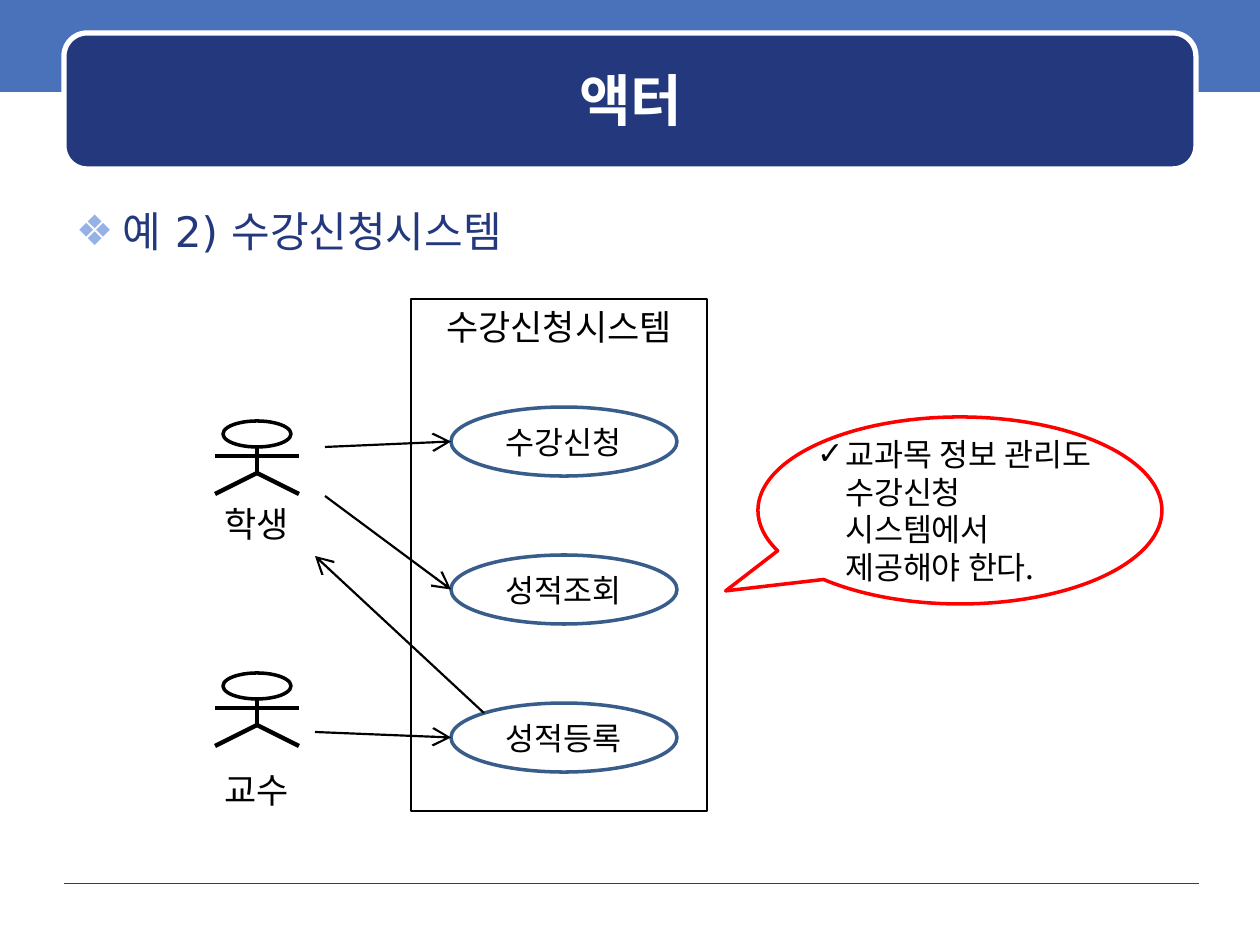
from lxml import etree
from pptx import Presentation
from pptx import util as u
from pptx.dml.color import RGBColor
from pptx.enum import shapes, text
from pptx.oxml import ns

# Content: lengths in px, 126 to the inch
TITLE = "액터"
TOPIC = "예 2) 수강신청시스템"
SYSTEM = "수강신청시스템"
CASES = ["수강신청", "성적조회", "성적등록"]
ACTORS = [("학생", 421, 496), ("교수", 673, 762)]  # name, head top, label top
NOTE = "교과목 정보 관리도 수강신청 시스템에서 제공해야 한다."
INTO = [(325, 447, 0), (325, 496, 1), (315, 732, 2)]  # start, use case
BACK = (484, 713, 315, 556)  # from the last use case to the student
OVAL = (451, 407, 226, 69)  # first use case
STEP = 148  # from one use case to the next


class Theme:
    band, panel, rule = "4972BB", "23387D", "1A3D97"
    bullet, oval, alert = "96B1E6", "385D8A", "FF0000"
    ink, paper = "000000", "FFFFFF"
    head, topic, label, case = 32, 24, 20, 18
    sans, hangul = "DejaVu Sans", "Noto Sans CJK KR"


SHAPE = shapes.MSO_SHAPE
MID, TOP = text.MSO_ANCHOR.MIDDLE, text.MSO_ANCHOR.TOP
CENTER, START = text.PP_ALIGN.CENTER, text.PP_ALIGN.LEFT


def px(n):
    return u.Emu(round(n * 914400 / 126))


def rgb(code):
    return RGBColor.from_string(code)


def sub(parent, tag, **attrs):
    return etree.SubElement(parent, ns.qn(tag), **attrs)


def place(shape, *box):
    shape.left, shape.top, shape.width, shape.height = map(px, box)


def write(shape, words, size, color=Theme.ink, font=Theme.hangul, align=CENTER,
          anchor=MID, side=0, bold=False, bullet=None):
    frame = shape.text_frame
    frame.word_wrap, frame.vertical_anchor = True, anchor
    frame.auto_size = text.MSO_AUTO_SIZE.NONE
    frame.margin_left = frame.margin_right = px(side)
    frame.margin_top = frame.margin_bottom = u.Inches(0.05)
    para = frame.paragraphs[0]
    para.text, para.alignment = words, align
    para.space_before = u.Pt(0)
    props = para._p.get_or_add_pPr()
    if bullet:
        mark, tint, indent = bullet
        props.set("marL", str(px(indent)))
        props.set("indent", str(-px(indent)))
        sub(sub(props, "a:buClr"), "a:srgbClr", val=tint)
        sub(props, "a:buFont", typeface=Theme.sans)
        sub(props, "a:buChar", char=mark)
    para.font.size, para.font.bold = u.Pt(size), bold
    para.font.name, para.font.color.rgb = font, rgb(color)
    sub(props.find(ns.qn("a:defRPr")), "a:ea", typeface=font)


def draw(parent, kind, box, fill=None, line=None, width=2):
    shape = parent.add_shape(kind, *map(px, box))
    shape.shadow.inherit = False
    if fill:
        shape.fill.solid()
        shape.fill.fore_color.rgb = rgb(fill)
    else:
        shape.fill.background()
    if line:
        shape.line.color.rgb, shape.line.width = rgb(line), u.Pt(width)
    else:
        shape.line.fill.background()
    return shape


def join(parent, ends, width, color=Theme.ink, arrow=False):
    link = parent.add_connector(shapes.MSO_CONNECTOR.STRAIGHT, *map(px, ends))
    link.line.color.rgb, link.line.width = rgb(color), u.Pt(width)
    props = link._element.spPr
    if arrow:
        sub(props.find(ns.qn("a:ln")), "a:tailEnd", type="arrow", w="lg", len="lg")
    sub(props, "a:effectLst")


def actor(items, name, top, label):
    group = items.add_group_shape().shapes
    mid, arm, hip, foot = 257, top + 35, top + 52, top + 73
    draw(group, SHAPE.OVAL, (mid - 34, top, 68, 26), line=Theme.ink)
    for ends in [(mid, top + 26, mid, hip), (mid - 42, arm, mid + 42, arm),
                 (mid, hip, mid - 42, foot), (mid, hip, mid + 42, foot)]:
        join(group, ends, 2.5)
    box = items.add_textbox(*map(px, (178, label, 158, 55)))
    write(box, name, Theme.label, anchor=TOP, side=13)


def main():
    deck = Presentation()
    deck.slide_width, deck.slide_height = px(1260), px(945)
    slide = deck.slides.add_slide(deck.slide_layouts[1])
    items = slide.shapes
    title, body = slide.placeholders

    # Header and footer
    draw(items, SHAPE.RECTANGLE, (0, -4, 1260, 96), Theme.band)
    join(items, (64, 883, 1199, 883), 0.25, Theme.rule)
    draw(items, SHAPE.ROUNDED_RECTANGLE, (64, 33, 1132, 136),
         Theme.panel, Theme.paper, 3).adjustments[0] = 0.17

    # Title and topic, in front of the header
    for holder in (title, body):
        items._spTree.append(holder._element)
    place(title, 76, 44, 1110, 111)
    write(title, TITLE, Theme.head, Theme.paper, Theme.sans, bold=True)
    place(body, 63, 199, 1134, 672)
    write(body, TOPIC, Theme.topic, Theme.panel, Theme.sans, START, TOP, 13,
          bullet=("❖", Theme.bullet, 47))

    # Actors
    for entry in ACTORS:
        actor(items, *entry)

    # System and its use cases
    system = draw(items, SHAPE.RECTANGLE, (411, 299, 296, 512), line=Theme.ink, width=1.25)
    write(system, SYSTEM, Theme.label, anchor=TOP, side=13)
    left, top, wide, high = OVAL
    for row, name in enumerate(CASES):
        oval = draw(items, SHAPE.OVAL, (left, top + STEP * row, wide, high), line=Theme.oval)
        write(oval, name, Theme.case)

    # Arrows, each ending at the left tip of its use case
    for x, y, row in INTO:
        join(items, (x, y, left, top + STEP * row + high / 2), 1.25, arrow=True)
    join(items, BACK, 1.25, arrow=True)

    # Remark
    note = draw(items, SHAPE.OVAL_CALLOUT, (758, 417, 404, 187), line=Theme.alert)
    note.adjustments[0], note.adjustments[1] = -0.58, 0.43
    write(note, NOTE, Theme.case, align=START, bullet=("✓", Theme.ink, 28))

    deck.save("out.pptx")


if __name__ == "__main__":
    main()
